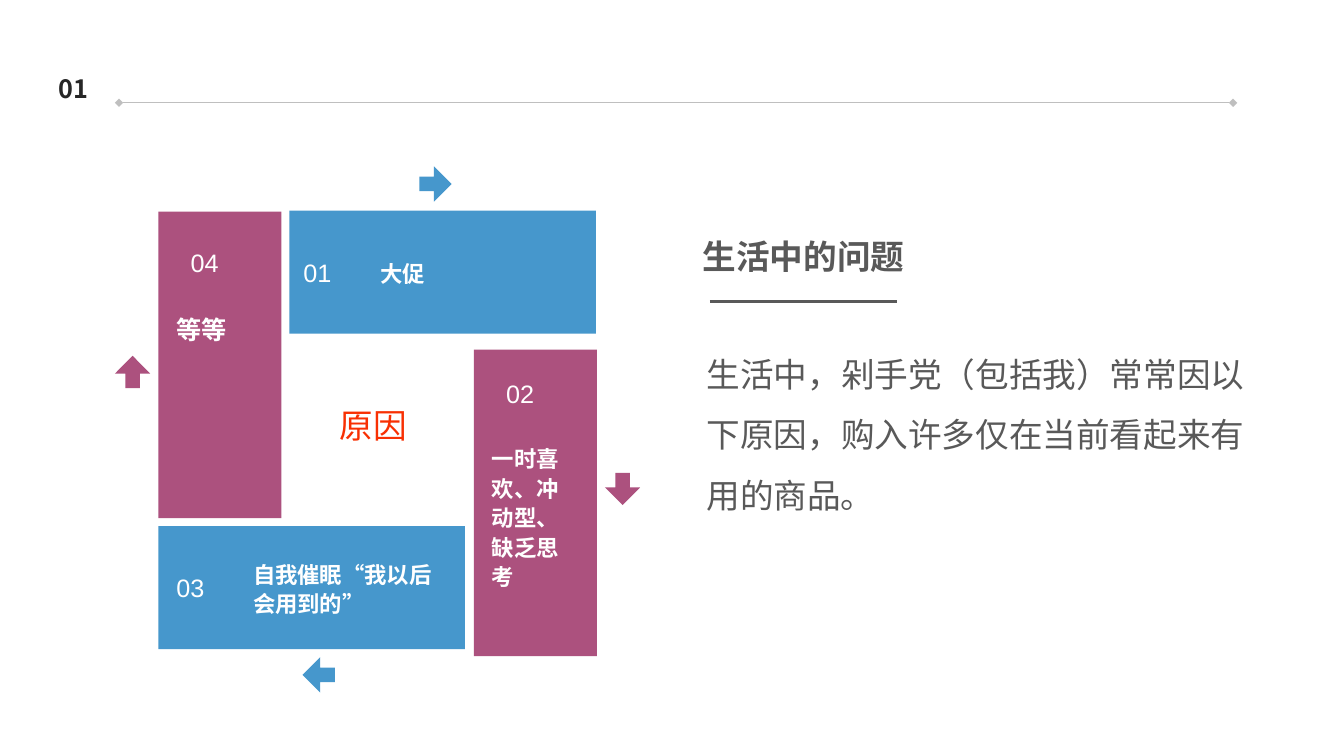
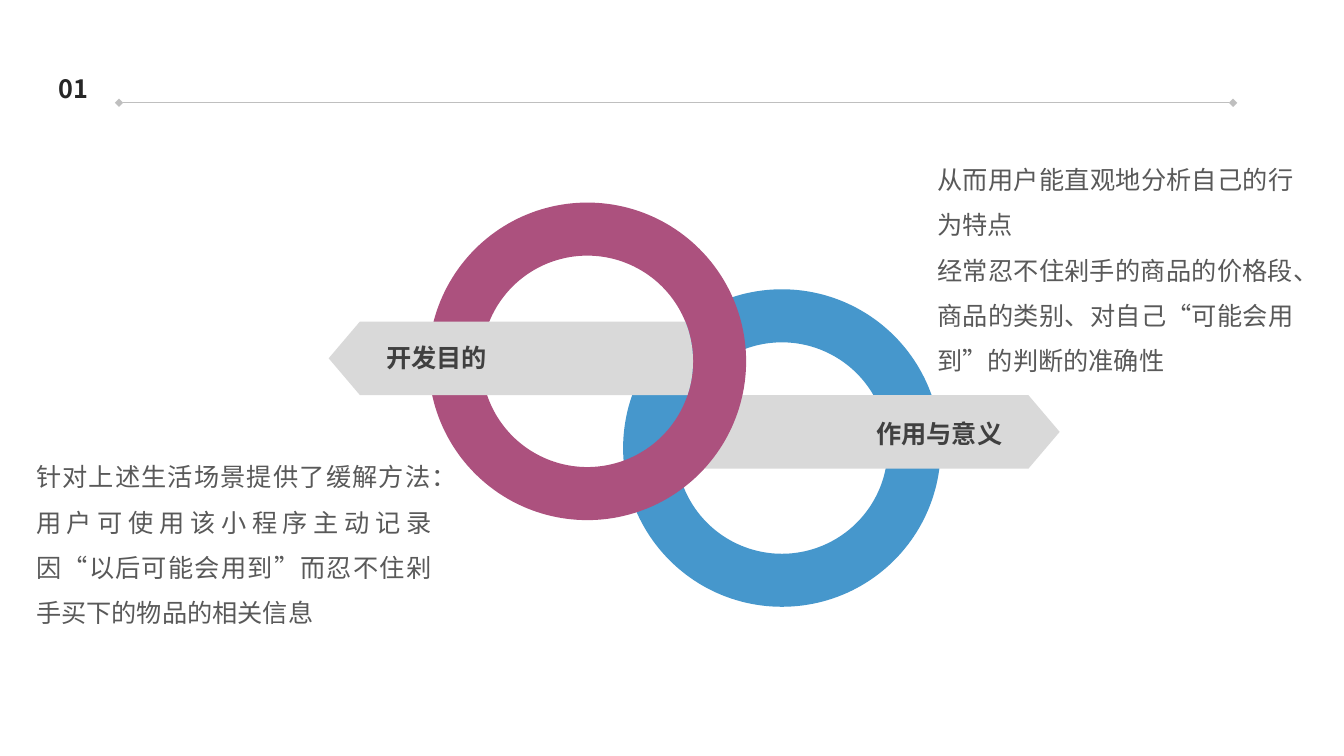
from dataclasses import dataclass
from math import cos, pi, sin, asin

from lxml import etree
from pptx import Presentation
from pptx import util as u
from pptx.dml.color import RGBColor
from pptx.enum import lang, shapes, text
from pptx.oxml import ns

PX = 9144
SHAPE = shapes.MSO_SHAPE
ALIGN = text.PP_ALIGN
ANCHOR = text.MSO_ANCHOR


@dataclass(frozen=True)
class Theme:
    blue: str = "4697CC"
    plum: str = "AC517E"
    tab: str = "D9D9D9"
    rule: str = "BFBFBF"
    ink: str = "262626"
    strong: str = "404040"
    body: str = "595959"
    alert: str = "F83003"
    white: str = "FFFFFF"
    large: int = 24
    medium: int = 18
    small: int = 16
    cjk: str = "Noto Sans CJK SC"
    digits: str = "Arial"
    label: str = "Roboto"


THEME = Theme()


class Deck:
    def __init__(self, theme):
        self.theme = theme
        self.file = Presentation()
        self.file.slide_width = u.Emu(1333 * PX)
        self.file.slide_height = u.Emu(750 * PX)
        self.slide = None

    def new_slide(self, number):
        self.slide = self.file.slides.add_slide(self.file.slide_layouts[6])
        self.line((118, 102), (1223, 102), self.theme.rule, 0.5, end="diamond")
        self.text(number, (47, 58, 51, 45), color=self.theme.ink, bold=True,
                  align=ALIGN.CENTER, spacing=1.5)

    def paint(self, shape, color):
        shape.shadow.inherit = False
        shape.fill.solid()
        shape.fill.fore_color.rgb = RGBColor.from_string(color)
        shape.line.fill.background()

    def shape(self, preset, box, color, adjust=()):
        shape = self.slide.shapes.add_shape(preset, *(u.Emu(n * PX) for n in box))
        for index, value in enumerate(adjust):
            shape.adjustments[index] = value
        self.paint(shape, color)

    def outline(self, points, color):
        start, *rest = [(round(x * PX), round(y * PX)) for x, y in points]
        builder = self.slide.shapes.build_freeform(*start)
        builder.add_line_segments(rest, close=True)
        self.paint(builder.convert_to_shape(), color)

    def line(self, start, finish, color, width, end=None):
        line = self.slide.shapes.add_connector(
            shapes.MSO_CONNECTOR.STRAIGHT, *(u.Emu(n * PX) for n in start + finish))
        line.line.color.rgb = RGBColor.from_string(color)
        line.line.width = u.Pt(width)
        if end:
            for tag in ("a:headEnd", "a:tailEnd"):
                etree.SubElement(line.line._get_or_add_ln(), ns.qn(tag), type=end)
        etree.SubElement(line._element.spPr, ns.qn("a:effectLst"))

    def text(self, content, box, *, size=THEME.medium, color=THEME.body,
             font=THEME.cjk, bold=False, align=ALIGN.LEFT, anchor=ANCHOR.TOP,
             spacing=1.0, inset=(0, 0)):
        frame = self.slide.shapes.add_textbox(*(u.Emu(n * PX) for n in box)).text_frame
        frame.word_wrap = True
        frame.vertical_anchor = anchor
        frame.margin_left = frame.margin_right = u.Emu(inset[0] * PX)
        frame.margin_top = frame.margin_bottom = u.Emu(inset[1] * PX)
        frame.text = content
        for paragraph in frame.paragraphs:
            paragraph.alignment = align
            paragraph.line_spacing = spacing
            for run in paragraph.runs:
                run.font.size = u.Pt(size)
                run.font.bold = bold
                run.font.name = font
                run.font.color.rgb = RGBColor.from_string(color)
                run.font.language_id = lang.MSO_LANGUAGE_ID.SIMPLIFIED_CHINESE
                etree.SubElement(run.font._element, ns.qn("a:ea"),
                                 typeface=self.theme.cjk)

    def prose(self, content, box, size):
        self.text(content, box, size=size, align=ALIGN.JUSTIFY, spacing=1.5,
                  inset=(10, 5))

    def reason(self, number, label, corner, number_at, wide, size):
        x, y = number_at
        long, short = 304, 122
        if wide:
            extent, color, anchor = (long, short), self.theme.blue, ANCHOR.MIDDLE
            label_box = (x + 76, y, 193, 58)
        else:
            extent, color, anchor = (short, long), self.theme.plum, ANCHOR.TOP
            label_box = (x - 14, y + 78, 87, 184)
        self.shape(SHAPE.RECTANGLE, corner + extent, color)
        style = dict(color=self.theme.white, font=self.theme.digits)
        self.text(number, (x, y, 58, 58), anchor=ANCHOR.MIDDLE, **style)
        self.text(label, label_box, size=size, bold=True, anchor=anchor,
                  spacing=1.1, **style)


def reasons_slide(deck):
    theme = deck.theme
    deck.new_slide("01")
    deck.prose("生活中，剁手党（包括我）常常因以下原因，购入许多仅在当前看起来有用的商品。",
               (691, 326, 553, 185), theme.large)
    deck.text("生活中的问题", (697, 234, 560, 64), size=theme.large, bold=True)
    deck.line((704, 299), (890, 299), theme.body, 2.25)

    for preset, box, color in (
        (SHAPE.RIGHT_ARROW, (416, 165, 32, 35), theme.blue),
        (SHAPE.DOWN_ARROW, (600, 469, 35, 32), theme.plum),
        (SHAPE.LEFT_ARROW, (300, 652, 32, 35), theme.blue),
        (SHAPE.UP_ARROW, (114, 353, 35, 32), theme.plum),
    ):
        deck.shape(preset, box, color, (0.41, 0.55))

    for reason in (
        ("01", "大促", (287, 209), (301, 241), True, theme.small),
        ("03", "自我催眠“我以后会用到的”", (157, 522), (175, 554), True, theme.small),
        ("04", "等等", (157, 210), (189, 231), False, theme.medium),
        ("02", "一时喜欢、冲动型、缺乏思考", (470, 347), (502, 361), False, theme.small),
    ):
        deck.reason(*reason)
    deck.text("原因", (337, 398, 168, 51), size=theme.large, color=theme.alert,
              font=theme.digits, spacing=1.1)


def purpose_slide(deck):
    theme = deck.theme
    deck.new_slide("01")
    diameter, band = 315, 0.167
    tab_height, tip = 73, 31
    label = dict(color=theme.strong, font=theme.label, bold=True, anchor=ANCHOR.MIDDLE)

    deck.shape(SHAPE.DONUT, (618, 287, diameter, diameter), theme.blue, (band,))
    deck.shape(SHAPE.PENTAGON, (697, 392, 354, tab_height), theme.tab,
               (tip / tab_height,))
    deck.text("作用与意义", (743, 413, 251, 34), align=ALIGN.RIGHT, **label)

    left, top = 425, 201
    deck.shape(SHAPE.DONUT, (left, top, diameter, diameter), theme.plum, (band,))
    center_x, center_y = left + diameter / 2, top + diameter / 2
    radius = diameter * (0.5 - band)
    tab_top, tab_left, steps = 319, 326, 24
    tab_bottom = tab_top + tab_height
    first = asin((tab_top - center_y) / radius)
    last = asin((tab_bottom - center_y) / radius)
    angles = [first + (last - first) * step / steps for step in range(steps + 1)]
    arc = [(center_x + radius * cos(a), center_y + radius * sin(a)) for a in angles]
    deck.outline([(tab_left + tip, tab_top), *arc, (tab_left + tip, tab_bottom),
                  (tab_left, tab_top + tab_height / 2)], theme.tab)
    deck.text("开发目的", (383, 340, 268, 29), **label)

    deck.prose("针对上述生活场景提供了缓解方法：\n"
               "用户可使用该小程序主动记录因“以后可能会用到”而忍不住剁手买下的物品的相关信息",
               (26, 438, 412, 187), theme.medium)
    deck.prose("从而用户能直观地分析自己的行为特点\n"
               "经常忍不住剁手的商品的价格段、商品的类别、对自己“可能会用到”的判断的准确性",
               (920, 143, 373, 232), theme.medium)


def main():
    deck = Deck(THEME)
    reasons_slide(deck)
    purpose_slide(deck)
    deck.file.save("out.pptx")


if __name__ == "__main__":
    main()
